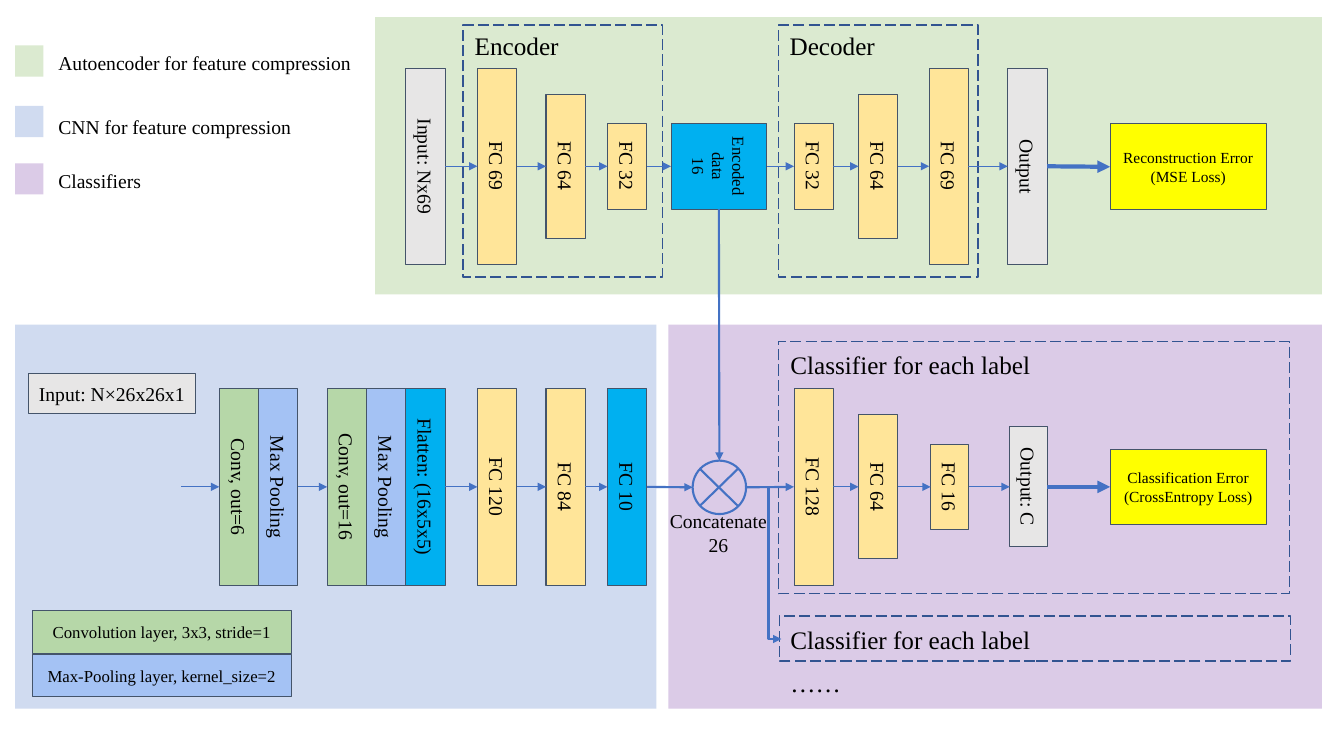
"""Draw an autoencoder and CNN pipeline that feeds a set of label classifiers."""
from lxml import etree
from pptx import Presentation
from pptx.dml.color import RGBColor
from pptx.enum.dml import MSO_LINE
from pptx.enum.shapes import MSO_CONNECTOR, MSO_SHAPE
from pptx.enum.text import MSO_ANCHOR, MSO_AUTO_SIZE, PP_ALIGN
from pptx.oxml.ns import qn
from pptx.util import Inches, Pt

RECT, OVAL = MSO_SHAPE.RECTANGLE, MSO_SHAPE.OVAL
STRAIGHT, ELBOW = MSO_CONNECTOR.STRAIGHT, MSO_CONNECTOR.ELBOW
LEFT, CENTER = PP_ALIGN.LEFT, PP_ALIGN.CENTER
MIDDLE, GROW = MSO_ANCHOR.MIDDLE, MSO_AUTO_SIZE.SHAPE_TO_FIT_TEXT
DASH = MSO_LINE.LONG_DASH
TOP_SIDE, LEFT_SIDE, LOW_SIDE, RIGHT_SIDE = range(4)

BLACK = RGBColor(0x00, 0x00, 0x00)
BLUE = RGBColor(0x44, 0x72, 0xC4)
PURPLE = RGBColor(0x70, 0x30, 0xA0)
GREEN = RGBColor(0x70, 0xAD, 0x47)
SLATE = RGBColor(0x44, 0x54, 0x6A)
NAVY = RGBColor(0x32, 0x54, 0x91)
LEAF = RGBColor(0xB6, 0xD7, 0xA8)
SKY = RGBColor(0xA4, 0xC2, 0xF4)
SAND = RGBColor(0xFF, 0xE5, 0x99)
CYAN = RGBColor(0x00, 0xB0, 0xF0)
GREY = RGBColor(0xE7, 0xE6, 0xE6)
YELLOW = RGBColor(0xFF, 0xFF, 0x00)


def write(frame, text, size=14, align=CENTER, color=BLACK, face="Times New Roman"):
    """Fill a text frame, one paragraph for each line of the text."""
    for i, line in enumerate(text.split("\n")):
        para = frame.add_paragraph() if i else frame.paragraphs[0]
        para.alignment = align
        run = para.add_run()
        run.text = line
        run.font.name = face
        run.font.size = Pt(size)
        run.font.color.rgb = color


def spot(shape, side):
    """Return the middle of a side as it shows, in EMU."""
    wide, high = shape.width, shape.height
    mid_x, mid_y = shape.left + wide // 2, shape.top + high // 2
    if shape.rotation:
        wide, high = high, wide
    step_x, step_y = ((0, -1), (-1, 0), (0, 1), (1, 0))[side]
    return mid_x + step_x * wide // 2, mid_y + step_y * high // 2


class Sketch:
    """Hold the style and the current slide."""

    def __init__(self, slide):
        """Keep the slide's shapes at hand."""
        self.shapes = slide.shapes

    def shape(self, kind, left, top, wide, high, fill=None, line=None, width=0.75):
        """Add a preset shape with the given fill and line."""
        item = self.shapes.add_shape(kind, *map(Inches, (left, top, wide, high)))
        item.shadow.inherit = False
        if fill is None:
            item.fill.background()
        else:
            item.fill.solid()
            item.fill.fore_color.rgb = fill
        if line is None:
            item.line.fill.background()
        else:
            item.line.color.rgb = line
            item.line.width = Pt(width)
        return item

    def tint(self, left, top, wide, high, fill):
        """Add a rectangle at a quarter of full strength."""
        item = self.shape(RECT, left, top, wide, high, fill)
        color = item._element.spPr.find(qn("a:solidFill"))[0]
        etree.SubElement(color, qn("a:alpha"), val="25000")

    def frame(self, left, top, wide, high):
        """Add a dashed outline."""
        self.shape(RECT, left, top, wide, high, line=NAVY, width=1).line.dash_style = DASH

    def box(self, left, top, wide, high, text, fill, size=14):
        """Add a labelled rectangle."""
        item = self.shape(RECT, left, top, wide, high, fill, SLATE)
        body = item.text_frame
        body.word_wrap = True
        body.vertical_anchor = MIDDLE
        body.margin_left = body.margin_right = Inches(0.1)
        body.margin_top = body.margin_bottom = Inches(0.1)
        write(body, text, size=size)
        return item

    def bar(self, mid_x, mid_y, text, fill=SAND, long=1.95, thick=0.39, size=14):
        """Add a box turned by 90 degrees about its centre."""
        item = self.box(mid_x - long / 2, mid_y - thick / 2, long, thick, text, fill, size)
        item.rotation = 90
        return item

    def note(self, left, top, wide, high, text, wrap=True, **style):
        """Add a text box."""
        body = self.shapes.add_textbox(*map(Inches, (left, top, wide, high))).text_frame
        body.word_wrap = wrap
        body.auto_size = GROW
        write(body, text, **style)

    def line(self, start, end, width=0.5, kind=STRAIGHT, head=True):
        """Add a connector between two points in EMU."""
        item = self.shapes.add_connector(kind, *start, *end)
        item.line.color.rgb = BLUE
        item.line.width = Pt(width)
        part = item._element.spPr
        if head:
            etree.SubElement(part.find(qn("a:ln")), qn("a:tailEnd"), type="triangle")
        etree.SubElement(part, qn("a:effectLst"))
        return item

    def join(self, first, last, width=0.5, out=RIGHT_SIDE, into=LEFT_SIDE):
        """Add an arrow from a side of one shape to a side of another."""
        start, end = spot(first, out), spot(last, into)
        item = self.line(start, end, width)
        for shape, side, glue in ((first, out, item.begin_connect),
                                  (last, into, item.end_connect)):
            if shape.auto_shape_type == RECT:
                glue(shape, (side + 1) % 4 if shape.rotation else side)
        item.begin_x, item.begin_y = start
        item.end_x, item.end_y = end

    def chain(self, items):
        """Join each shape to the next one."""
        for first, last in zip(items, items[1:]):
            self.join(first, last)


def main():
    """Build the slide and save it."""
    deck = Presentation()
    deck.slide_width, deck.slide_height = Inches(13.33), Inches(7.5)
    art = Sketch(deck.slides.add_slide(deck.slide_layouts[6]))
    high_y, low_y = 1.65, 4.83

    art.tint(0.15, 3.22, 6.36, 3.81, BLUE)
    art.tint(6.63, 3.22, 6.48, 3.81, PURPLE)
    art.tint(3.72, 0.17, 9.39, 2.75, GREEN)

    for top, gap, color, wide, text in (
            (0.45, 0.01, GREEN, 3.2, "Autoencoder for feature compression"),
            (1.05, 0.04, BLUE, 2.51, "CNN for feature compression"),
            (1.62, 0.01, PURPLE, 1.03, "Classifiers")):
        art.tint(0.15, top, 0.28, 0.31, color)
        art.note(0.48, top + gap, wide, 0.34, text, wrap=False, align=LEFT)

    art.box(0.32, 6.06, 2.57, 0.42, "Convolution layer, 3x3, stride=1", LEAF, 12)
    art.box(0.32, 6.49, 2.57, 0.42, "Max-Pooling layer, kernel_size=2", SKY, 12)
    art.box(0.28, 3.71, 1.66, 0.39, "Input: N×26x26x1", GREY)

    for left, text in ((4.59, "Encoder"), (7.72, "Decoder")):
        art.frame(left, 0.25, 1.98, 2.5)
        art.note(left, 0.25, 1.07, 0.4, text, size=18)
    art.frame(7.72, 3.39, 5.07, 2.5)
    art.frame(7.73, 6.11, 5.07, 0.45)
    for top, text in ((3.42, "Classifier for each label"),
                      (6.14, "Classifier for each label"), (6.57, "……")):
        art.note(7.74, top, 2.69, 0.4, text, size=18, align=LEFT)

    code = art.bar(7.13, high_y, "Encoded data\n16", CYAN, 0.85, 0.95, 12)
    ends = [art.bar(x, high_y, text, fill, long) for x, text, fill, long in (
        (4.22, "Input: Nx69", GREY, 1.95), (4.93, "FC 69", SAND, 1.95),
        (5.61, "FC 64", SAND, 1.43), (6.22, "FC 32", SAND, 0.85),
        (8.07, "FC 32", SAND, 0.85), (8.71, "FC 64", SAND, 1.43),
        (9.41, "FC 69", SAND, 1.95), (10.19, "Output", GREY, 1.95))]
    art.chain(ends[:4] + [code] + ends[4:])
    loss = art.box(11.01, 1.23, 1.55, 0.85, "Reconstruction Error\n(MSE Loss)", YELLOW, 11)
    art.join(ends[-1], loss, 3)

    cnn = [art.bar(x, low_y, text, fill) for x, text, fill in (
        (2.37, "Conv, out=6", LEAF), (2.76, "Max Pooling", SKY),
        (3.44, "Conv, out=16", LEAF), (3.83, "Max Pooling", SKY),
        (4.22, "Flatten: (16x5x5)", CYAN), (4.93, "FC 120", SAND),
        (5.61, "FC 84", SAND), (6.22, "FC 10", CYAN))]
    art.line((Inches(1.8), Inches(low_y)), spot(cnn[0], LEFT_SIDE)).end_connect(cnn[0], 2)
    feed = art.shapes[-1]
    feed.end_x, feed.end_y = spot(cnn[0], LEFT_SIDE)
    art.join(cnn[1], cnn[2])
    art.chain(cnn[4:])

    ring = art.shape(OVAL, 6.87, 4.57, 0.53, 0.53, line=BLUE, width=1.5)
    for start, end in ((4.65, 5.02), (5.02, 4.65)):
        art.line((Inches(6.94), Inches(start)), (Inches(7.32), Inches(end)), 1.5, head=False)
    art.note(6.52, 5, 1.21, 0.57, "Concatenate\n26", wrap=False)
    art.join(code, ring, 1.5, LOW_SIDE, TOP_SIDE)
    art.join(cnn[-1], ring, 1.5)

    heads = [art.bar(x, low_y, text, fill, long, thick) for x, text, fill, long, thick in (
        (8.07, "FC 128", SAND, 1.95, 0.39), (8.71, "FC 64", SAND, 1.43, 0.39),
        (9.42, "FC 16", SAND, 0.85, 0.38), (10.2, "Output: C", GREY, 1.19, 0.37))]
    art.join(ring, heads[0], 1.5)
    art.chain(heads)
    loss = art.box(11.01, 4.46, 1.55, 0.74,
                   "Classification Error\n(CrossEntropy Loss)", YELLOW, 11)
    art.join(heads[-1], loss, 3)

    bend = art.line(spot(ring, RIGHT_SIDE), (Inches(7.75), Inches(6.34)), 1.5, ELBOW)
    guides = bend._element.spPr.find(qn("a:prstGeom")).find(qn("a:avLst"))
    etree.SubElement(guides, qn("a:gd"), name="adj1", fmla="val 63500")

    deck.save("out.pptx")


if __name__ == "__main__":
    main()
